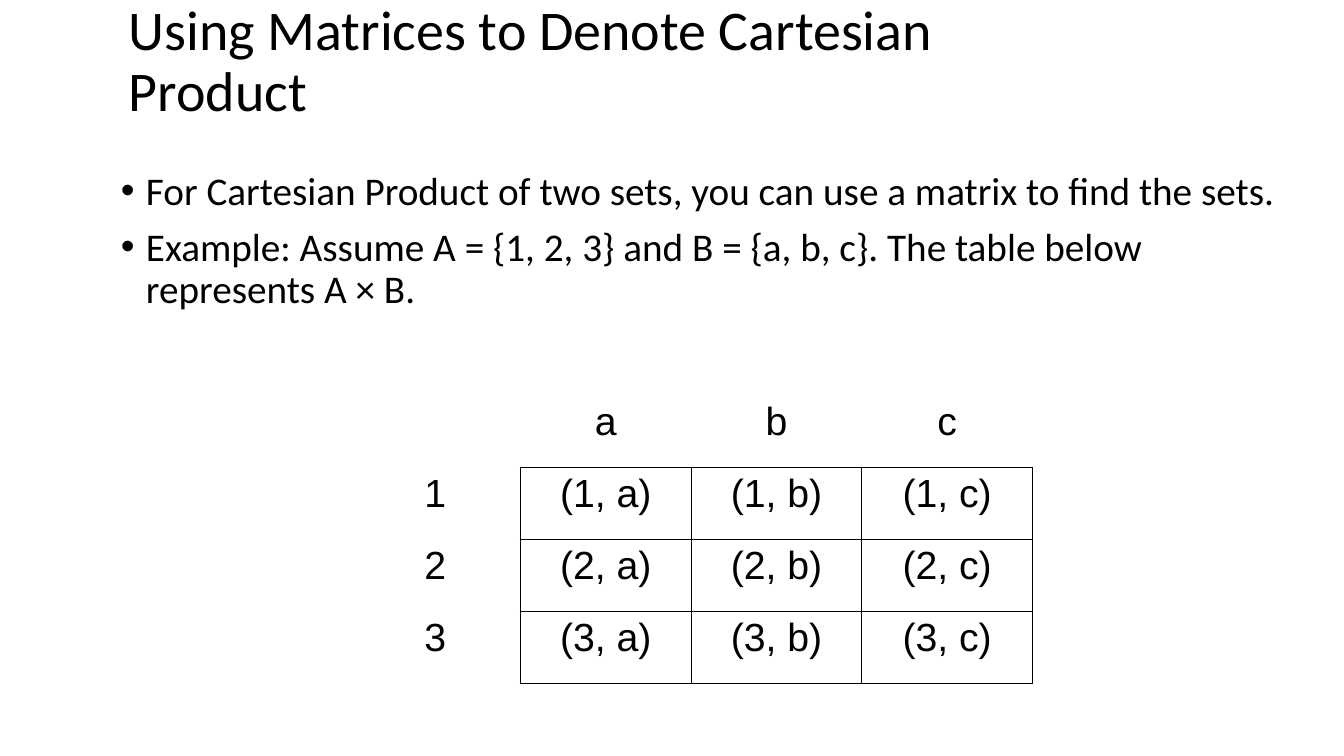
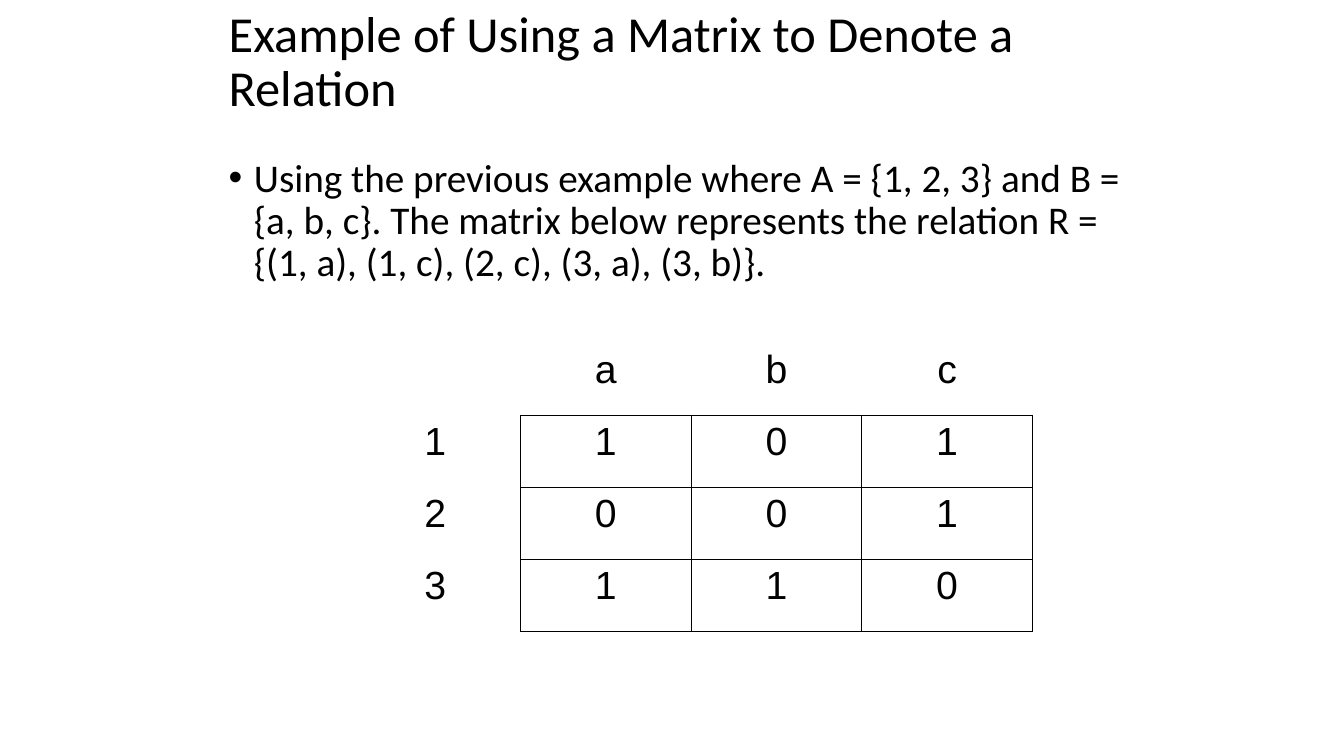
"""Two slides that show set products and relations as matrices."""
from dataclasses import dataclass
from typing import Any

from lxml import etree
from pptx import Presentation
from pptx import util as u
from pptx.dml import color
from pptx.enum import text
from pptx.oxml import ns

WIDE, HIGH = u.Inches(13.33), u.Inches(7.5)
HUES = {"ink": "000000", "page": "FFFFFF"}
INK = color.RGBColor.from_string(HUES["ink"])
HEAD = {"name": "Calibri", "size": u.Pt(40)}
BODY = {"name": "Calibri", "size": u.Pt(28)}
CELL = {"name": "Arial", "size": u.Pt(28)}
COLS = ("a", "b", "c")
ROWS = ("1", "2", "3")


@dataclass(frozen=True)
class Box:
    """A frame in percent of the slide's width and height."""
    left: float
    top: float
    width: float
    height: float

    def emu(self) -> tuple[int, ...]:
        """Return the frame in slide units."""
        pairs = ((self.left, WIDE), (self.top, HIGH),
                 (self.width, WIDE), (self.height, HIGH))
        return tuple(round(part * full / 100) for part, full in pairs)


@dataclass(frozen=True)
class Page:
    """The content of one slide."""
    title: str
    size: int
    head: Box
    points: tuple[str, ...]
    body: Box
    grid: Box
    vals: tuple[tuple[str, ...], ...]


def style(item: Any, look: dict[str, Any]) -> None:
    """Set each format value on an object."""
    for key, val in look.items():
        setattr(item, key, val)


def write(para: Any, words: str, font: dict[str, Any], **look: Any) -> None:
    """Fill a paragraph with styled words."""
    style(para, look)
    run = para.add_run()
    run.text = words
    style(run.font, font)
    run.font.color.rgb = INK


def bullet(para: Any) -> None:
    """Give a paragraph a hanging round bullet."""
    props = para._p.get_or_add_pPr()
    indent = u.Inches(0.25)
    props.set("marL", str(indent))
    props.set("indent", str(-indent))
    etree.SubElement(props, ns.qn("a:buFont"), typeface="Arial")
    etree.SubElement(props, ns.qn("a:buChar"), char="•")


def frame(slide: Any, box: Box, anchor: Any) -> Any:
    """Add a wrapping text box and return its text frame."""
    area = slide.shapes.add_textbox(*box.emu()).text_frame
    style(area, {"word_wrap": True, "vertical_anchor": anchor})
    return area


def edge(cell: Any, sides: dict[str, bool]) -> None:
    """Draw or clear each side of a cell."""
    props = cell._tc.get_or_add_tcPr()
    for side, shown in sides.items():
        line = etree.SubElement(props, ns.qn(f"a:ln{side}"), w=str(u.Pt(1)))
        fill = etree.SubElement(line, ns.qn("a:solidFill" if shown else "a:noFill"))
        if shown:
            etree.SubElement(fill, ns.qn("a:srgbClr"), val=HUES["ink"])


def matrix(slide: Any, box: Box, vals: tuple[tuple[str, ...], ...]) -> None:
    """Add a matrix with row and column labels."""
    data = [("", *COLS)] + [(name, *row) for name, row in zip(ROWS, vals)]
    table = slide.shapes.add_table(len(data), len(data[0]), *box.emu()).table
    style(table, {"first_row": False, "horz_banding": False})
    for r, row in enumerate(data):
        for c, words in enumerate(row):
            cell = table.cell(r, c)
            edge(cell, {"L": r > 0 and c > 0, "R": r > 0,
                        "T": r > 0 and c > 0, "B": c > 0})
            cell.fill.background()
            if words:
                write(cell.text_frame.paragraphs[0], words, CELL,
                      alignment=text.PP_ALIGN.CENTER)


def draw(deck: Any, page: Page) -> None:
    """Add one slide with title, bullets and matrix."""
    slide = deck.slides.add_slide(deck.slide_layouts[6])
    back = slide.background.fill
    back.solid()
    back.fore_color.rgb = color.RGBColor.from_string(HUES["page"])
    head = frame(slide, page.head, text.MSO_ANCHOR.MIDDLE)
    write(head.paragraphs[0], page.title, HEAD | {"size": u.Pt(page.size)},
          line_spacing=0.9)
    body = frame(slide, page.body, text.MSO_ANCHOR.TOP)
    for i, words in enumerate(page.points):
        para = body.add_paragraph() if i else body.paragraphs[0]
        bullet(para)
        write(para, words, BODY, line_spacing=0.9,
              space_before=u.Pt(10 if i else 0))
    matrix(slide, page.grid, page.vals)


PAGES = (
    Page("Using Matrices to Denote Cartesian Product", 40,
         Box(8.85, 0, 74.94, 16.67),
         ("For Cartesian Product of two sets, you can use a matrix to find the sets.",
          "Example: Assume A = {1, 2, 3} and B = {a, b, c}. "
          "The table below represents A × B."),
         Box(8.25, 22, 87.62, 28), Box(26.03, 52.27, 50.79, 38.13),
         tuple(tuple(f"({r}, {c})" for c in COLS) for r in ROWS)),
    Page("Example of Using a Matrix to Denote a Relation", 36,
         Box(16.28, 0, 67.52, 16.67),
         ("Using the previous example where A = {1, 2, 3} and B = {a, b, c}. "
          "The matrix below represents the relation "
          "R = {(1, a), (1, c), (2, c), (3, a), (3, b)}.",),
         Box(16.28, 20.27, 68.72, 28), Box(26.03, 45.4, 50.79, 38.13),
         (("1", "0", "1"), ("0", "0", "1"), ("1", "1", "0"))),
)


def main() -> None:
    """Build and save the deck."""
    deck = Presentation()
    style(deck, {"slide_width": WIDE, "slide_height": HIGH})
    for page in PAGES:
        draw(deck, page)
    deck.save("out.pptx")


if __name__ == "__main__":
    main()
